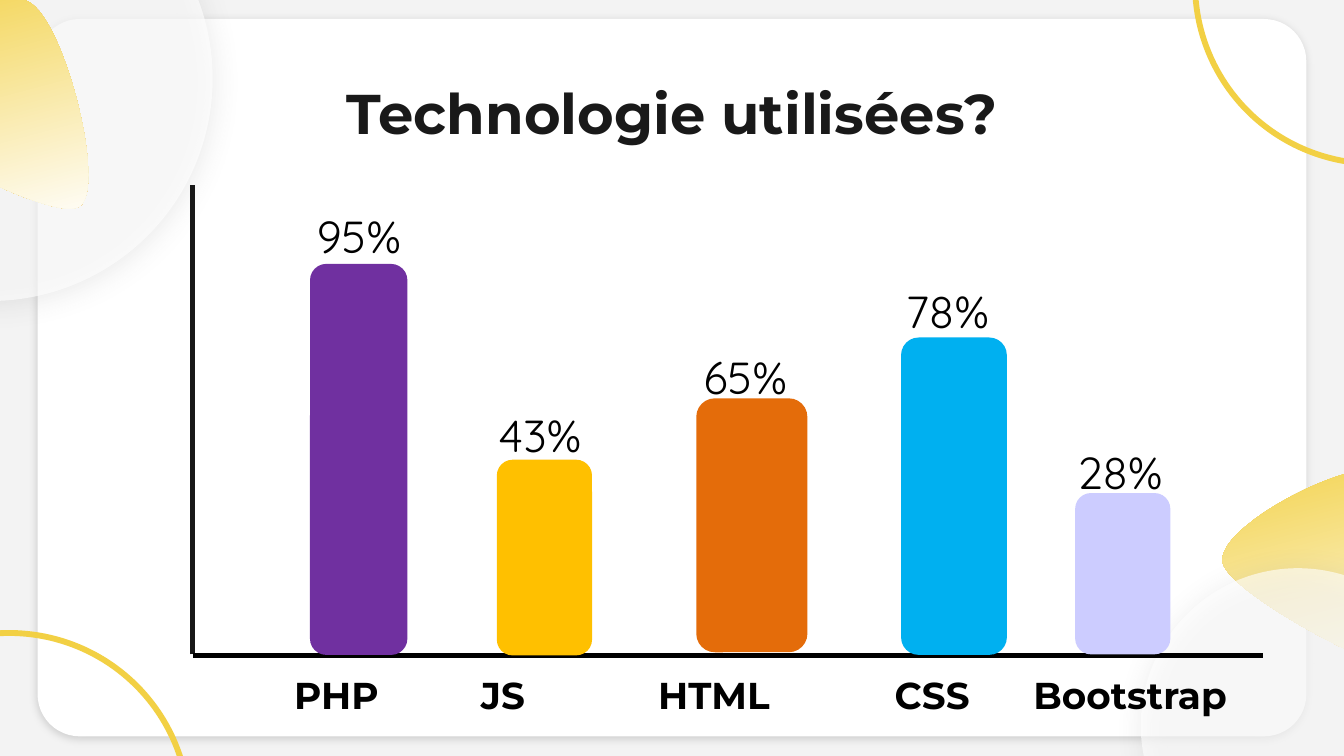
from lxml.etree import SubElement
from pptx import Presentation
from pptx.dml.color import RGBColor
from pptx.enum.shapes import MSO_CONNECTOR as LINE, MSO_SHAPE as SHAPE
from pptx.enum.text import MSO_ANCHOR, MSO_AUTO_SIZE, PP_ALIGN
from pptx.oxml.ns import qn
from pptx.util import Cm, Pt

rgb = RGBColor.from_string
YELLOW = "F2D044"


def paint(sp, colour, opacity=100, shadow=None):
    """Flat fill without outline; shadow is colour, opacity, blur, distance, angle."""
    sp.fill.solid()
    sp.fill.fore_color.rgb = rgb(colour)
    sp.line.fill.background()
    sp.shadow.inherit = False
    pr = sp.element.spPr
    if opacity < 100:
        clr = pr.find(qn("a:solidFill"))[0]
        SubElement(clr, qn("a:alpha"), val=str(opacity * 1000))
    if shadow:
        tint, alpha, blur, dist, angle = shadow
        outer = SubElement(pr.find(qn("a:effectLst")), qn("a:outerShdw"),
                           blurRad=str(Pt(blur)), dist=str(Pt(dist)),
                           dir=str(angle * 60000), algn="ctr", rotWithShape="0")
        clr = SubElement(outer, qn("a:srgbClr"), val=tint)
        SubElement(clr, qn("a:alpha"), val=str(alpha * 1000))


def write(sp, text, colour="000000", **font):
    """Put one line of text in a shape and format its font."""
    tf = sp.text_frame
    tf.word_wrap = True
    tf.vertical_anchor = MSO_ANCHOR.TOP
    p = tf.paragraphs[0]
    r = p.add_run()
    r.text = text
    r.font.color.rgb = rgb(colour)
    for name, value in font.items():
        setattr(r.font, name, value)
    return p


prs = Presentation()
prs.slide_width, prs.slide_height = Cm(25.4), Cm(14.29)
s = prs.slides.add_slide(prs.slide_layouts[5])
s.background.fill.solid()
s.background.fill.fore_color.rgb = rgb("F3F3F3")

# White card
card = s.shapes.add_shape(SHAPE.ROUNDED_RECTANGLE, Cm(0.71), Cm(0.36), Cm(23.98), Cm(13.56))
card.adjustments[0] = 0.059
paint(card, "FFFFFF", shadow=("000000", 17, 4.5, 1.5, 90))

# Yellow rings
for x, y in [(22.53, -3.76), (-3.28, 11.91)]:
    ring = s.shapes.add_shape(SHAPE.DONUT, Cm(x), Cm(y), Cm(6.91), Cm(6.91))
    ring.adjustments[0] = 0.016
    paint(ring, YELLOW)

# Leaves and glass discs: the right leaf lies under the discs, the left one over them
leaf_points = [
    (27.25, 12.8),
    (27.79, 12.52), (27, 9.27), (26.29, 8.92),
    (25.6, 8.56), (22.94, 9.98), (23.11, 10.64),
    (23.27, 11.28), (26.72, 13.11), (27.25, 12.8),
]
discs = [(-4.39, -2.72, 8.41), (21.56, 10.74, 5.94)]
for dx, dy, discs_above in [(0, 0, discs), (-25.76, -8.89, [])]:
    points = [(Cm(x + dx), Cm(y + dy)) for x, y in leaf_points]
    builder = s.shapes.build_freeform(*points[0])
    builder.add_line_segments(points[1:], close=True)
    leaf = builder.convert_to_shape()
    # Every three straight segments become one Bezier curve
    segments = list(leaf.element.spPr.iter(qn("a:lnTo")))
    for i in range(0, 9, 3):
        first, second, third = segments[i:i + 3]
        first.tag = qn("a:cubicBezTo")
        for segment in (second, third):
            first.append(segment[0])
            segment.getparent().remove(segment)
    leaf.shadow.inherit = False
    leaf.line.fill.background()
    leaf.fill.gradient()
    leaf.fill.gradient_angle = 285
    for stop, place, colour in zip(leaf.fill.gradient_stops, (0, 1), (YELLOW, "FFFFFF")):
        stop.position = place
        stop.color.rgb = rgb(colour)
    for x, y, size in discs_above:
        disc = s.shapes.add_shape(SHAPE.OVAL, Cm(x), Cm(y), Cm(size), Cm(size))
        disc.rotation = 257.6
        paint(disc, "FFFFFF", 62, ("595959", 19, 14.6, 2.2, 74))

# Axes
for x1, y1, x2, y2, colour in [(3.64, 12.37, 3.64, 3.49, "181818"),
                               (3.64, 12.39, 23.86, 12.39, "000000")]:
    axis = s.shapes.add_connector(LINE.STRAIGHT, Cm(x1), Cm(y1), Cm(x2), Cm(y2))
    axis.line.color.rgb = rgb(colour)
    axis.line.width = Pt(3)
    SubElement(axis.element.spPr, qn("a:effectLst"))

# Bars (left, top, width, height, colour) and their values (text, left, top)
bars = [
    (5.86, 4.99, 1.84, 7.39, "7030A0", "95%", 5.74, 3.82),
    (9.39, 8.69, 1.8, 3.7, "FFC000", "43%", 9.17, 7.58),
    (13.16, 7.53, 2.1, 4.8, "E46C0A", "65%", 13.05, 6.48),
    (17.03, 6.38, 2, 6, "00B0F0", "78%", 16.87, 5.23),
    (20.32, 9.32, 1.8, 3.05, "CCCCFF", "28%", 20.11, 8.28),
]
for x, y, w, h, colour, value, value_x, value_y in bars:
    bar = s.shapes.add_shape(SHAPE.ROUNDED_RECTANGLE, Cm(x), Cm(y), Cm(w), Cm(h))
    paint(bar, colour)
    label = s.shapes.add_textbox(Cm(value_x), Cm(value_y), Cm(3.15), Cm(5.38))
    write(label, value, size=Pt(24), name="Quicksand")
    label.text_frame.auto_size = MSO_AUTO_SIZE.SHAPE_TO_FIT_TEXT

# Category names, set on tab stops under the bars
names = s.shapes.add_textbox(Cm(5.31), Cm(12.58), Cm(19.05), Cm(1.12))
p = write(names, "PHP\tJS\tHTML\tCSS\tBootstrap", size=Pt(20), name="Montserrat", bold=True)
names.text_frame.auto_size = MSO_AUTO_SIZE.SHAPE_TO_FIT_TEXT
p.alignment = PP_ALIGN.LEFT
tabs = SubElement(p._p.get_or_add_pPr(), qn("a:tabLst"))
for stop in (3.53, 6.88, 11.35, 13.97):
    SubElement(tabs, qn("a:tab"), pos=str(Cm(stop)), algn="l")

# Title, brought in front of the card
title = s.shapes.title
title.left, title.top, title.width, title.height = Cm(2), Cm(1.24), Cm(21.41), Cm(1.6)
p = write(title, "Technologie utilisées?", "191919", size=Pt(30), name="Montserrat", bold=True)
p.alignment = PP_ALIGN.CENTER
tf = title.text_frame
tf.auto_size = MSO_AUTO_SIZE.NONE
for side in ("left", "top", "right", "bottom"):
    setattr(tf, f"margin_{side}", Cm(0.25))
title.element.getparent().append(title.element)

prs.save("out.pptx")
